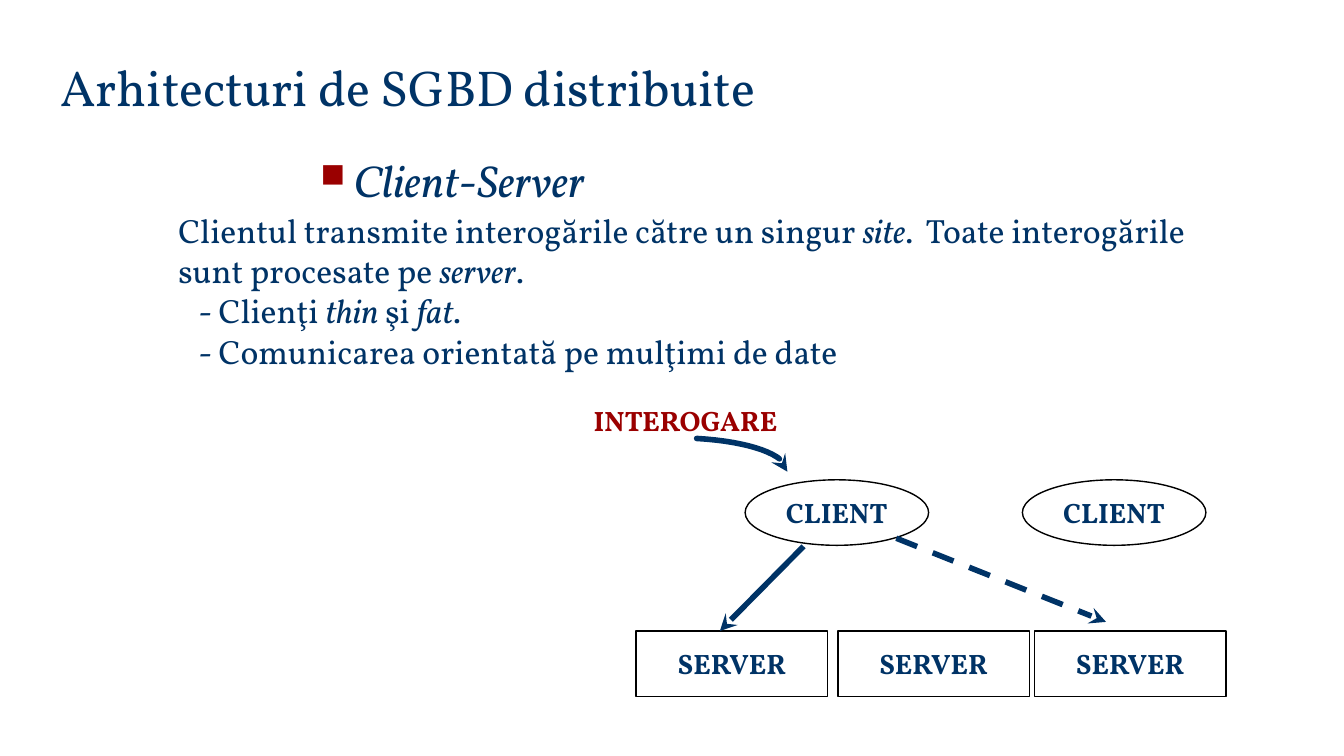
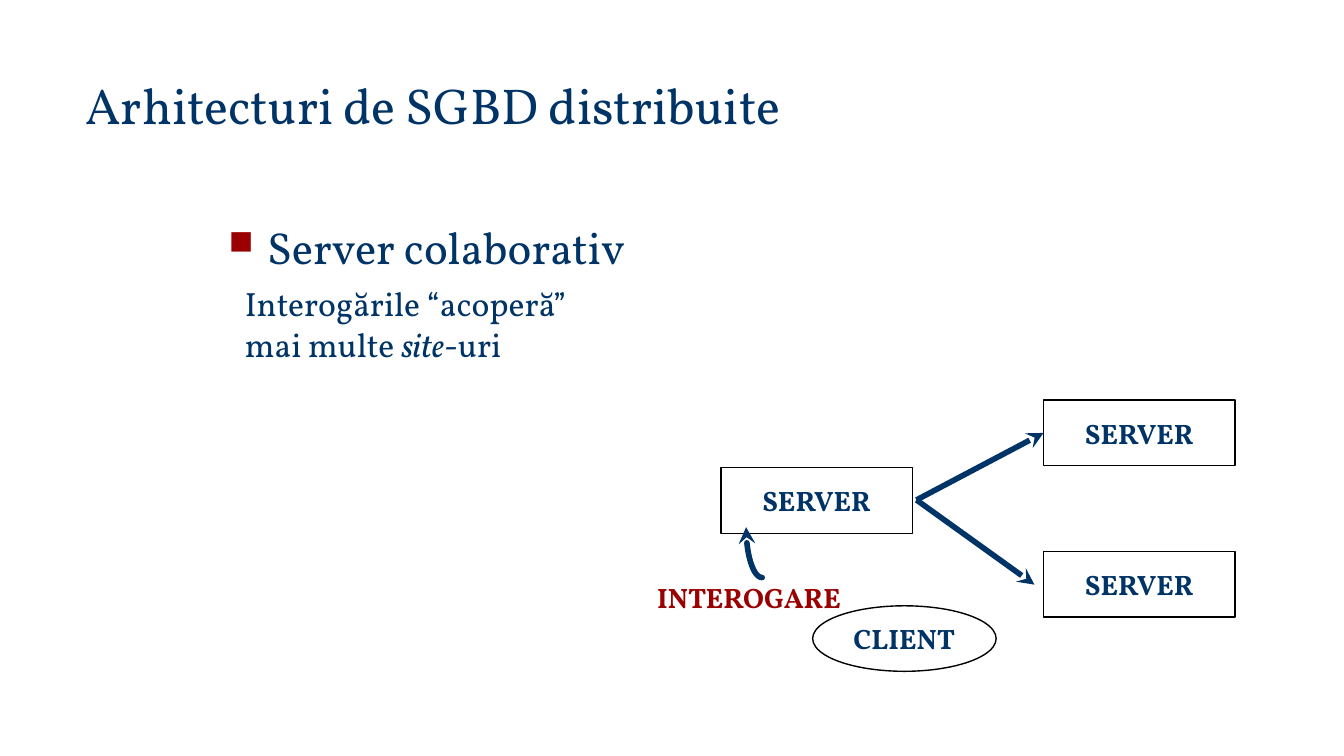
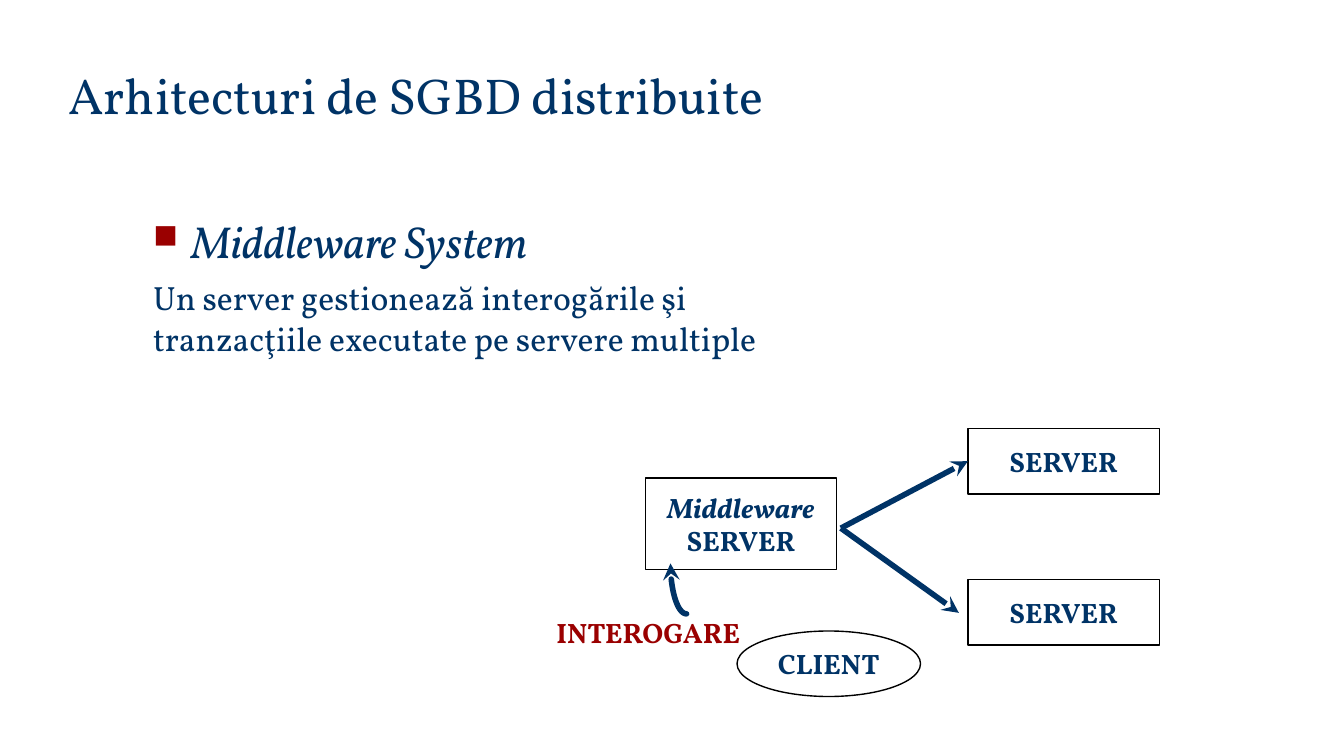
from pptx import Presentation
from pptx.dml.color import RGBColor
from pptx.enum.dml import MSO_LINE
from pptx.enum.shapes import MSO_CONNECTOR, MSO_SHAPE
from pptx.enum.text import MSO_ANCHOR, PP_ALIGN
from pptx.oxml.ns import qn
from pptx.util import Inches, Pt
from lxml.etree import SubElement

NAVY, RED, BLACK, WHITE = "003366", "9A0000", "000000", "FFFFFF"
FONT = "Vollkorn"
TITLE = "Arhitecturi de SGBD distribuite"
SERVER_SIZE = (1.9, 0.65)
CLIENT_SIZE = (1.82, 0.65)
LEFT_SIDE = 1
CURVE_STEPS = 16


def color(value):
    return RGBColor.from_string(value)


def write(paragraph, text, size, ink=NAVY, bold=False):
    """Fill a paragraph; parts between asterisks are italic."""
    font = paragraph.font
    font.name, font.size, font.bold = FONT, Pt(size), bold
    font.color.rgb = color(ink)
    for index, part in enumerate(text.split("*")):
        if part:
            run = paragraph.add_run()
            run.text = part
            if index % 2:
                run.font.italic = True


def set_indent(paragraph, margin, first=0):
    properties = paragraph._p.get_or_add_pPr()
    properties.set("marL", str(Inches(margin)))
    properties.set("indent", str(Inches(first)))
    return properties


def add_text(slide, left, top, width, height, text, size, **style):
    box = slide.shapes.add_textbox(
        Inches(left), Inches(top), Inches(width), Inches(height))
    frame = box.text_frame
    frame.word_wrap = True
    write(frame.paragraphs[0], text, size, **style)
    return frame


def add_title(slide, left, top):
    frame = add_text(slide, left, top, 11, 0.71, TITLE, 36)
    frame.vertical_anchor = MSO_ANCHOR.BOTTOM


def add_heading(slide, left, top, text, indent=0.38):
    """Add a heading with a red square bullet."""
    frame = add_text(slide, left, top, 4.75, 0.5, text, 32)
    properties = set_indent(frame.paragraphs[0], indent, -indent)
    bullet_color = SubElement(properties, qn("a:buClr"))
    SubElement(bullet_color, qn("a:srgbClr"), val=RED)
    SubElement(properties, qn("a:buSzPct"), val="75000")
    SubElement(properties, qn("a:buChar"), char="■")
    font_defaults = properties.find(qn("a:defRPr"))
    properties.append(font_defaults)


def add_query_label(slide, left, top):
    add_text(slide, left, top, 2.2, 0.44, "INTEROGARE", 20, ink=RED, bold=True)


def add_node(slide, kind, left, top, size, *lines):
    node = slide.shapes.add_shape(
        kind, Inches(left), Inches(top), Inches(size[0]), Inches(size[1]))
    node.shadow.inherit = False
    node.fill.solid()
    node.fill.fore_color.rgb = color(WHITE)
    node.line.color.rgb = color(BLACK)
    node.line.width = Pt(1)
    frame = node.text_frame
    frame.margin_left = frame.margin_right = 0
    frame.margin_top = frame.margin_bottom = 0
    frame.vertical_anchor = MSO_ANCHOR.MIDDLE
    for index, line in enumerate(lines):
        paragraph = frame.add_paragraph() if index else frame.paragraphs[0]
        paragraph.alignment = PP_ALIGN.CENTER
        write(paragraph, line, 20, bold=True)
    return node


def add_server(slide, left, top):
    return add_node(slide, MSO_SHAPE.RECTANGLE, left, top, SERVER_SIZE, "SERVER")


def add_client(slide, left, top):
    return add_node(slide, MSO_SHAPE.OVAL, left, top, CLIENT_SIZE, "CLIENT")


def style_arrow(line, dashed=False):
    line.color.rgb = color(NAVY)
    line.width = Pt(4)
    if dashed:
        line.dash_style = MSO_LINE.DASH
    SubElement(line._get_or_add_ln(), qn("a:tailEnd"), type="stealth")


def add_arrow(slide, start, end, dashed=False):
    arrow = slide.shapes.add_connector(
        MSO_CONNECTOR.STRAIGHT, *(Inches(value) for value in (*start, *end)))
    style_arrow(arrow.line, dashed)
    SubElement(arrow._element.spPr, qn("a:effectLst"))
    return arrow


def add_curved_arrow(slide, *controls):
    """Draw a cubic Bézier arrow through its four control points."""
    points = []
    for step in range(CURVE_STEPS + 1):
        t = step / CURVE_STEPS
        weights = ((1 - t) ** 3, 3 * t * (1 - t) ** 2, 3 * t ** 2 * (1 - t), t ** 3)
        points.append(tuple(
            Inches(sum(weight * control[axis]
                       for weight, control in zip(weights, controls)))
            for axis in (0, 1)))
    builder = slide.shapes.build_freeform(*points[0])
    builder.add_line_segments(points[1:], close=False)
    curve = builder.convert_to_shape()
    curve.shadow.inherit = False
    curve.fill.background()
    style_arrow(curve.line)
    curve.line._get_or_add_ln().set("cap", "rnd")


def add_rising_query(slide, left, top):
    """Draw the short curve that carries the query up into a server."""
    add_curved_arrow(slide, (left + 0.16, top + 0.5), (left + 0.07, top + 0.5),
                     (left, top + 0.27), (left, top))


def add_server_fan(slide, left, top):
    """Draw two stacked servers and the arrows that reach them."""
    upper = add_server(slide, left, top)
    add_server(slide, left, top + 1.5)
    source = (left - 1.26, top + 0.99)
    add_arrow(slide, source, (left, top + 0.33)).end_connect(upper, LEFT_SIDE)
    add_arrow(slide, source, (left - 0.09, top + 1.83))


def build_client_server(slide):
    add_title(slide, 0.5, 0.5)
    add_heading(slide, 3.08, 1.47, "*Client*-*Server*", indent=0.33)
    frame = add_text(
        slide, 1.67, 2.03, 10.75, 1.72,
        "Clientul transmite interogările către un singur *site*.  "
        "Toate interogările sunt procesate pe *server*.", 24)
    for item in ("- Clienţi *thin* şi *fat*.",
                 "- Comunicarea orientată pe mulţimi de date"):
        paragraph = frame.add_paragraph()
        set_indent(paragraph, 0.2)
        write(paragraph, item, 24)
    add_query_label(slide, 5.79, 3.95)
    for left in (7.39, 10.14):
        add_client(slide, left, 4.76)
    for left in (6.31, 8.31, 10.26):
        add_server(slide, left, 6.26)
    add_curved_arrow(slide, (6.91, 4.35), (7.43, 4.38), (7.81, 4.51), (7.81, 4.68))
    add_arrow(slide, (7.97, 5.42), (7.14, 6.26))
    add_arrow(slide, (8.89, 5.34), (10.97, 6.17), dashed=True)


def build_collaborative_server(slide):
    add_title(slide, 0.75, 0.67)
    add_heading(slide, 2.17, 2.13, "Server colaborativ")
    add_text(slide, 2.33, 2.76, 3.58, 0.91,
             "Interogările “acoperă” mai multe *site*-uri", 24)
    add_server(slide, 7.15, 4.64)
    add_server_fan(slide, 10.35, 3.97)
    add_query_label(slide, 6.42, 5.71)
    add_rising_query(slide, 7.4, 5.23)
    add_client(slide, 8.06, 6.01)


def build_middleware(slide):
    add_title(slide, 0.58, 0.58)
    add_heading(slide, 1.42, 2.07, "*Middleware System*")
    add_text(slide, 1.42, 2.7, 6.81, 0.91,
             "Un server gestionează interogările şi tranzacţiile "
             "executate pe servere multiple", 24)
    add_node(slide, MSO_SHAPE.RECTANGLE, 6.4, 4.74, (1.9, 0.91),
             "*Middleware*", "SERVER")
    add_server_fan(slide, 9.6, 4.25)
    add_query_label(slide, 5.42, 6.06)
    add_rising_query(slide, 6.65, 5.59)
    add_client(slide, 7.31, 6.26)


def main():
    presentation = Presentation()
    presentation.slide_width = Inches(13.33)
    presentation.slide_height = Inches(7.5)
    blank_layout = presentation.slide_layouts[6]
    for build in (build_client_server, build_collaborative_server, build_middleware):
        build(presentation.slides.add_slide(blank_layout))
    presentation.save("out.pptx")


if __name__ == "__main__":
    main()
